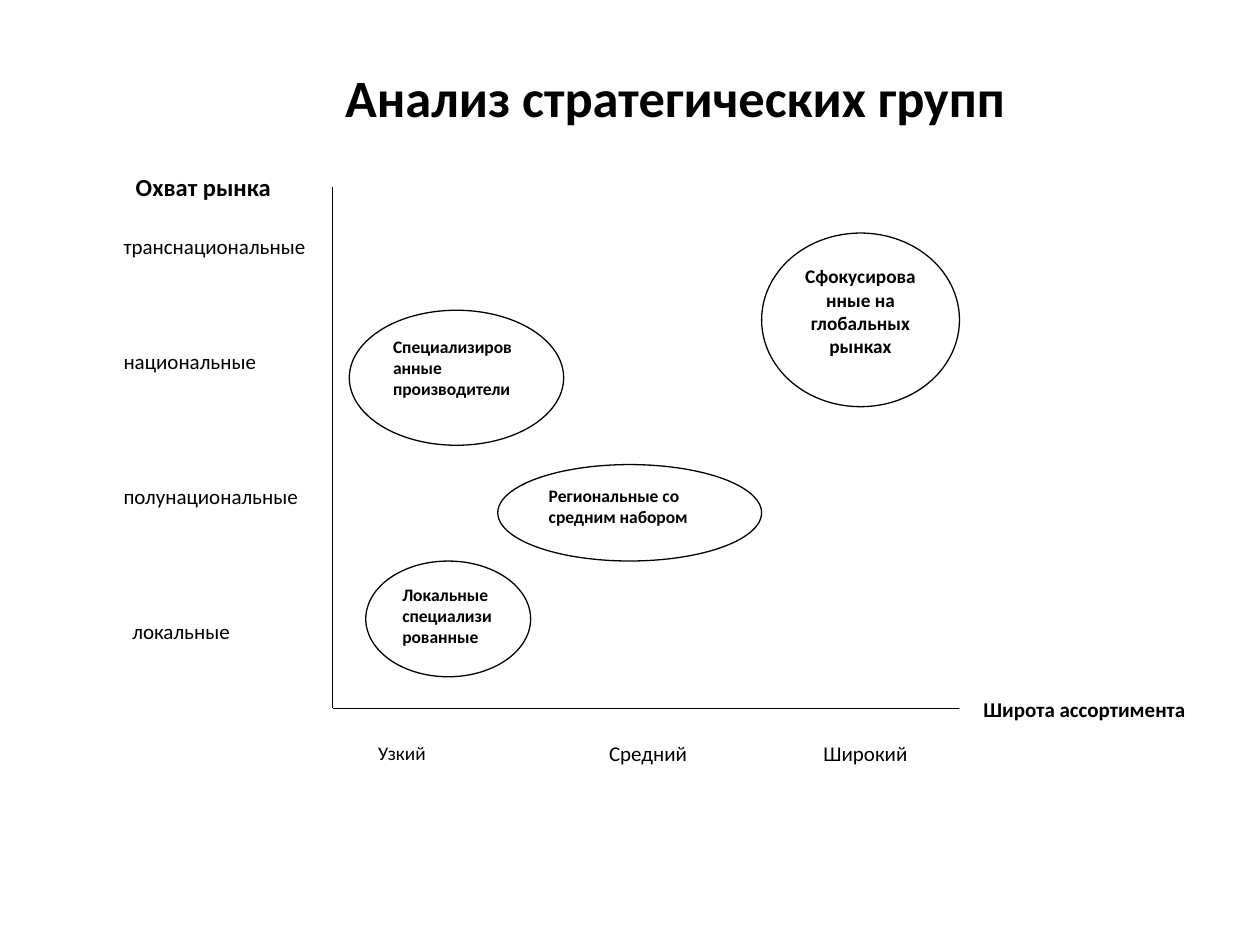
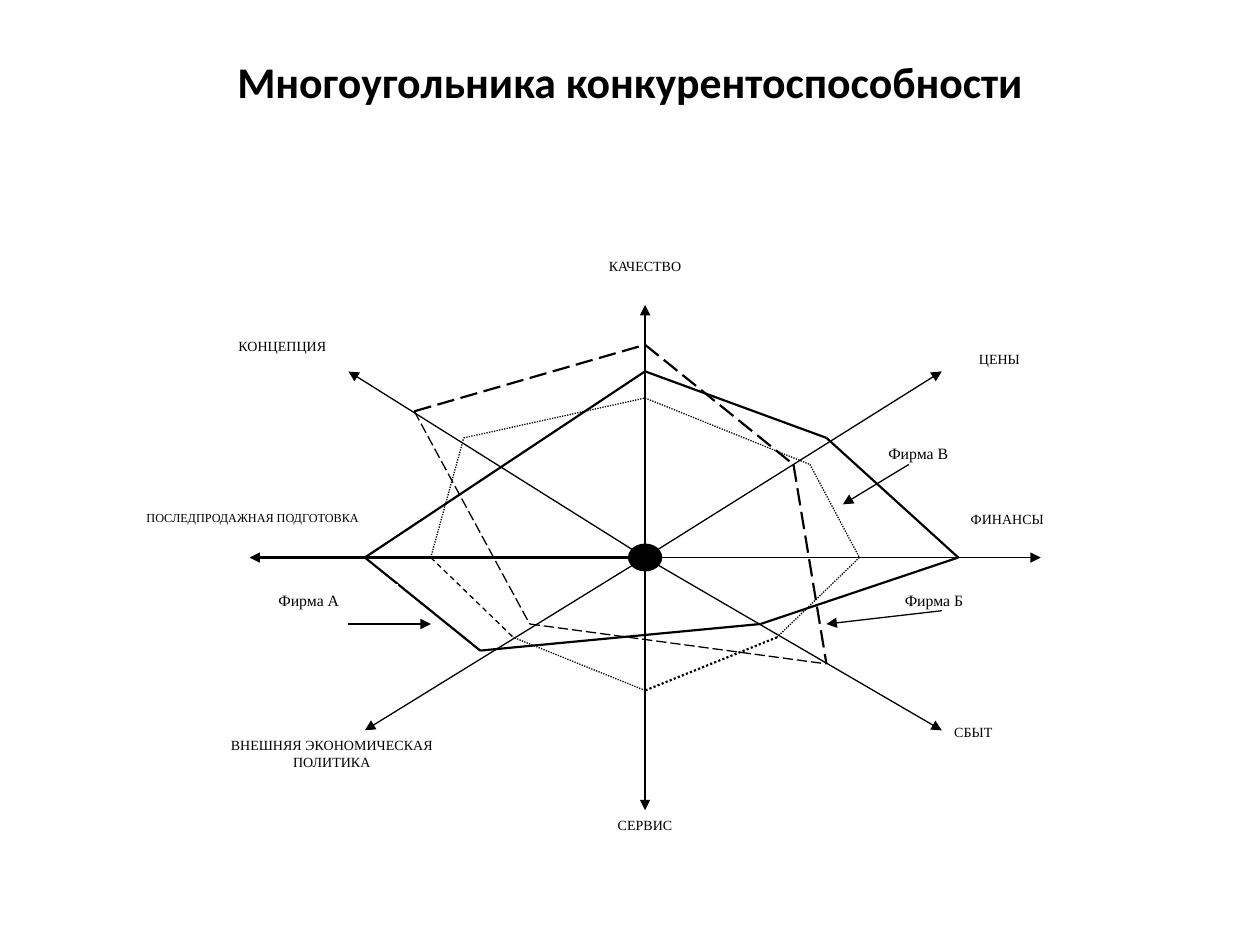
from dataclasses import dataclass

from lxml import etree
from pptx import Presentation
from pptx import util as u
from pptx.dml.color import RGBColor
from pptx.enum import dml, shapes, text
from pptx.oxml.ns import qn

COLORS = {"ink": "000000", "paper": "FFFFFF"}
SANS, SERIF = "Calibri", "Times New Roman"
THIN, THICK = 0.75, 1.25
NORMAL_INSETS = (0.1, 0.05, 0.1, 0.05)
LEFT, CENTER = text.PP_ALIGN.LEFT, text.PP_ALIGN.CENTER
RECT, OVAL = shapes.MSO_SHAPE.RECTANGLE, shapes.MSO_SHAPE.OVAL
LONG_DASH = dml.MSO_LINE.LONG_DASH
DOT = dml.MSO_LINE.ROUND_DOT
DASH = dml.MSO_LINE.DASH


@dataclass
class Grid:
    """A box in inches cut into columns and rows, counted from a zero cell."""
    left: float
    top: float
    width: float
    height: float
    columns: int
    rows: int
    zero_column: int
    zero_row: int

    def size(self, columns, rows):
        return (u.Inches(columns * self.width / self.columns),
                u.Inches(rows * self.height / self.rows))

    def point(self, column, row):
        x, y = self.size(column + self.zero_column, row + self.zero_row)
        return u.Inches(self.left) + x, u.Inches(self.top) + y


def color(name):
    return RGBColor.from_string(COLORS[name])


def write(para, words, size, font, bold=False, align=LEFT):
    para.alignment = align
    span = para.add_run()
    span.text = words
    span.font.name = font
    span.font.size = u.Pt(size)
    span.font.bold = bold
    span.font.color.rgb = color("ink")


def add_page(deck, title, box, size):
    page = deck.slides.add_slide(deck.slide_layouts[5])
    holder = page.shapes.title
    holder.left, holder.top, holder.width, holder.height = map(u.Inches, box)
    holder.text_frame.vertical_anchor = text.MSO_ANCHOR.MIDDLE
    write(holder.text_frame.paragraphs[0], title, size, SANS, True, CENTER)
    return page


def add_figure(page, grid, cells, kind=RECT, fill="paper", outlined=False):
    column, row, columns, rows = cells
    figure = page.shapes.add_shape(
        kind, *grid.point(column, row), *grid.size(columns, rows))
    figure.shadow.inherit = False
    if fill:
        figure.fill.solid()
        figure.fill.fore_color.rgb = color(fill)
    else:
        figure.fill.background()
    if outlined:
        figure.line.color.rgb = color("ink")
        figure.line.width = u.Pt(THIN)
    else:
        figure.line.fill.background()
    return figure


def add_label(page, grid, cells, words, size, font, bold=False, align=LEFT,
              insets=NORMAL_INSETS, **look):
    frame = add_figure(page, grid, cells, **look).text_frame
    frame.word_wrap = True
    frame.vertical_anchor = text.MSO_ANCHOR.TOP
    (frame.margin_left, frame.margin_top,
     frame.margin_right, frame.margin_bottom) = map(u.Inches, insets)
    write(frame.paragraphs[0], words, size, font, bold, align)


def add_line(page, grid, start, end, width=THIN, dash=None, arrow=False):
    line = page.shapes.add_connector(
        shapes.MSO_CONNECTOR.STRAIGHT, *grid.point(*start), *grid.point(*end))
    line.line.color.rgb = color("ink")
    line.line.width = u.Pt(width)
    if dash:
        line.line.dash_style = dash
    properties = line.line._get_or_add_ln()
    if arrow:
        etree.SubElement(properties, qn("a:tailEnd"), type="triangle")
    etree.SubElement(properties.getparent(), qn("a:effectLst"))


def draw_group_map(page, grid):
    axis_row, axis_top, axis_end = -1.37, -28.37, 42
    add_line(page, grid, (0, axis_top), (0, axis_row))
    add_line(page, grid, (0, axis_row), (axis_end, axis_row))

    for row, words, indent in [
        (-26, "транснациональные", 0.04),
        (-20, "национальные", 0.04),
        (-13, "полунациональные", 0.04),
        (-6, "локальные", 0.11),
    ]:
        add_label(page, grid, (-13, row, 12, 2), words, 12, SANS,
                  insets=(indent, 0, 0, 0))
    add_label(page, grid, (38, -2, 17, 2), "Широта ассортимента", 12, SANS,
              True, insets=(0.19, 0, 0, 0))
    add_label(page, grid, (-12.7, -29.5, 14, 2.2), "Охват рынка", 14, SANS,
              True, fill=None)

    for column, columns, rows, words, size in [
        (2, 6, 2, "Узкий", 11),
        (29, 8, 3, "Широкий", 12),
        (16, 7, 3, "Средний", 12),
    ]:
        add_label(page, grid, (column, 0, columns, rows), words, size, SANS)

    for cells, words, size, align in [
        ((2, -9, 10, 6), "Локальные специализированные", 10, LEFT),
        ((10, -14, 16, 5), "Региональные со средним набором", 10, LEFT),
        ((1, -22, 13, 7), "Специализированные производители", 10, LEFT),
        ((26, -26, 12, 9), "Сфокусированные на глобальных рынках", 11, CENTER),
    ]:
        add_label(page, grid, cells, words, size, SANS, True, align,
                  kind=OVAL, outlined=True)


def draw_polygons(page, grid):
    firm_a = [(-17, 0), (0, -14), (11, -9), (19, 0), (7, 5), (-10, 7), (-17, 0)]
    for points, width, dash in [
        (firm_a, THICK, None),
        ([(-14, -11), (-7, 5), (11, 8)], THIN, LONG_DASH),
        ([(-14, -11), (0, -16), (9, -7), (11, 8)], THICK, LONG_DASH),
        ([(-13, 0), (-11, -9), (0, -12), (10, -7), (13, 0), (8, 6)], THIN, DOT),
        ([(8, 6), (0, 10)], THICK, DOT),
        ([(0, 10), (-8, 6)], THIN, DOT),
        ([(-13, 0), (-8, 6)], THIN, DASH),
    ]:
        for start, end in zip(points, points[1:]):
            add_line(page, grid, start, end, width, dash)


def draw_radar(page, grid):
    draw_polygons(page, grid)

    for tip in [(0, -19), (18, -14), (24, 0), (18, 13),
                (0, 19), (-17, 13), (-24, 0), (-18, -14)]:
        add_line(page, grid, (0, 0), tip,
                 THICK if tip == (-24, 0) else THIN, arrow=True)
    add_figure(page, grid, (-1, -1, 2, 2),
               shapes.MSO_SHAPE.FLOWCHART_CONNECTOR, "ink", True)

    for cells, words, align in [
        ((-6, -23, 12, 3), "КАЧЕСТВО", CENTER),
        ((18, -16, 7, 3), "ЦЕНЫ", CENTER),
        ((19, -4, 12, 3), "ФИНАНСЫ", LEFT),
        ((18, 12, 12, 3), "СБЫТ", LEFT),
        ((-6, 19, 12, 3), "СЕРВИС", CENTER),
        ((-27, 13, 16, 7), "ВНЕШНЯЯ ЭКОНОМИЧЕСКАЯ ПОЛИТИКА", CENTER),
        ((-28, -17, 12, 3), "КОНЦЕПЦИЯ", CENTER),
    ]:
        add_label(page, grid, cells, words, 8, SERIF, align=align)
    add_label(page, grid, (-31, -4, 17, 4), "ПОСЛЕДПРОДАЖНАЯ ПОДГОТОВКА",
              7, SERIF, fill=None)

    for corner, words, start, end in [
        ((-23, 2), "Фирма А", (-18, 5), (-13, 5)),
        ((15, 2), "Фирма Б", (18, 4), (11, 5)),
        ((14, -9), "Фирма В", (16, -7), (12, -4)),
    ]:
        add_label(page, grid, (*corner, 8, 3), words, 9, SERIF)
        add_line(page, grid, start, end, arrow=True)


def main():
    deck = Presentation()
    deck.slide_width, deck.slide_height = u.Inches(10), u.Inches(7.5)

    page = add_page(deck, "Анализ стратегических групп",
                    (1.22, 0.3, 8.28, 0.93), 30)
    draw_group_map(page, Grid(0.94, 1.85, 8.9, 4.44, 68, 29, 13, 26))

    page = add_page(deck, "Многоугольника конкурентоспособности",
                    (0.5, 0.3, 9, 0.69), 25)
    draw_radar(page, Grid(1.98, 2.42, 6.28, 4.01, 48, 38, 24, 19))

    deck.save("out.pptx")


if __name__ == "__main__":
    main()
